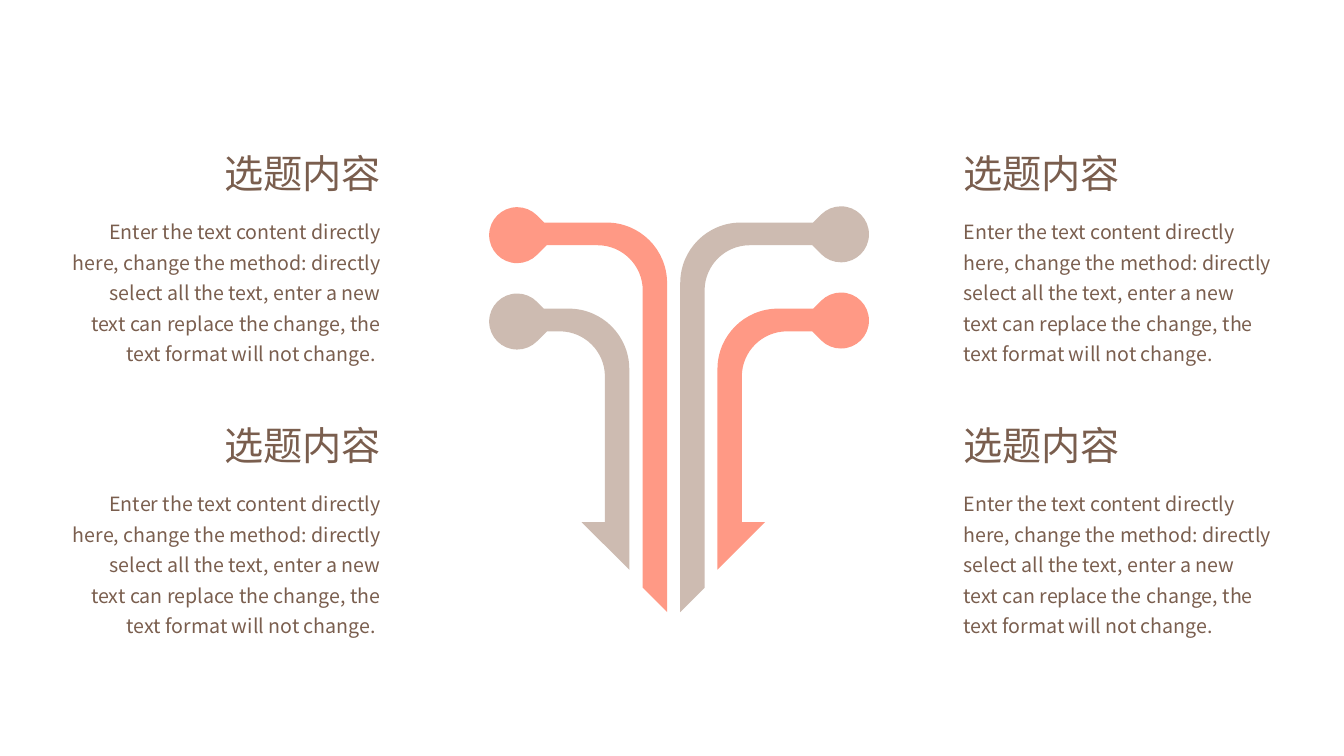
from dataclasses import dataclass
from math import cos, pi, radians, sin, tan

from lxml.etree import SubElement
from pptx import Presentation
from pptx.dml.color import RGBColor as Rgb
from pptx.enum.text import MSO_AUTO_SIZE as Fit, PP_ALIGN as Align
from pptx.oxml.ns import qn
from pptx.util import Pt

Point = tuple[float, float]
Step = list[Point]  # one point is a line, three points are a curve


@dataclass(frozen=True)
class Theme:
    font: str = "Noto Sans CJK SC"
    ink: str = "7A5E4E"
    sand: str = "CDBBB1"
    coral: str = "FF9985"
    head: int = 28
    body: int = 14


@dataclass(frozen=True)
class Pipe:
    """A round knob, an arm that bends down, and a pointed stem."""
    side: int     # 1 bends to the right, -1 to the left
    knob: Point   # centre of the knob
    edge: float   # x of the stem's outer edge
    top: float    # y of the arm's upper edge
    end: float    # y where the point begins
    barb: float   # how far the point sticks out


@dataclass(frozen=True)
class Column:
    left: float
    align: Align
    tail: str


THEME = Theme()

# Sizes shared by all pipes
KNOB, BEND, INNER = 20, 43.2, 32.3
ARM, STEM, BARB = 16.2, 17.4, 16.6
LONG, SHORT = 419.8, 373

PIPES = {
    THEME.sand: [
        Pipe(1, (369.4, 229.7), 449.5, 220.5, SHORT, BARB),
        Pipe(-1, (600.7, 167.4), 485.9, 159, LONG, 0),
    ],
    THEME.coral: [
        Pipe(1, (369.4, 168), 476.5, 159, LONG, 0),
        Pipe(-1, (600.7, 229), 512.5, 220.5, SHORT, BARB),
    ],
}

# Text grid
COLUMNS = [Column(681.2, Align.LEFT, ""), Column(44.3, Align.RIGHT, " ")]
ROWS = [103.2, 297.6]
WIDTH, DROP = 234.7, 45.4
TITLE = "选题内容"
BODY = ("Enter the text content directly here, change the method: directly "
        "select all the text, enter a new text can replace the change, "
        "the text format will not change.")


def spot(mid: Point, size: float, turn: float, side: int) -> Point:
    """Point on a circle, mirrored when side is -1."""
    return (mid[0] + side * size * cos(radians(turn)),
            mid[1] + size * sin(radians(turn)))


def arc(mid: Point, size: float, start: int, stop: int, side: int) -> Step:
    """Curve along an arc of at most 90 degrees."""
    pull = 4 / 3 * tan(radians(stop - start) / 4)
    (ax, ay), (bx, by) = (spot(mid, size, t, side) for t in (start, stop))
    (ux, uy), (vx, vy) = (spot((0, 0), size * pull, t + 90, side)
                          for t in (start, stop))
    return [(ax + ux, ay + uy), (bx - vx, by - vy), (bx, by)]


def outline(pipe: Pipe) -> list[Step]:
    side, (x, y), edge, top = pipe.side, pipe.knob, pipe.edge, pipe.top
    low = top + ARM
    neck = 2 * KNOB * cos(pi / 4)
    wall = edge - side * STEM
    turns = [45, 90, 180, 270, 315]
    return [
        [spot(pipe.knob, KNOB, turns[0], side)],
        *(arc(pipe.knob, KNOB, a, b, side) for a, b in zip(turns, turns[1:])),
        [(x + side * (neck - y + top), top)],
        [(edge - side * BEND, top)],
        arc((edge - side * BEND, top + BEND), BEND, 270, 360, side),
        [(edge, pipe.end + STEM + pipe.barb)],
        *([[(wall - side * pipe.barb, pipe.end)]] if pipe.barb else []),
        [(wall, pipe.end)],
        [(wall, low + INNER)],
        arc((wall - side * INNER, low + INNER), INNER, 360, 270, side),
        [(x + side * (neck - low + y), low)],
    ]


def bend(shape, steps: list[Step]) -> None:
    """Turn each run of three lines that stands for a curve into one."""
    lines = iter(list(shape._element.iter(qn("a:lnTo"))))
    for step in steps:
        parts = [next(lines) for _ in step]
        if len(parts) == 3:
            owner = parts[0].getparent()
            curve = SubElement(owner, qn("a:cubicBezTo"))
            parts[0].addprevious(curve)
            for part in parts:
                curve.append(part[0])
                owner.remove(part)


def draw(shapes, pipes: list[Pipe], color: str) -> None:
    """One shape that holds all pipes of a colour."""
    build, steps = None, []
    for pipe in pipes:
        (first,), *rest = outline(pipe)
        start = Pt(first[0]), Pt(first[1])
        if build is None:
            build = shapes.build_freeform(*start)
        else:
            build.move_to(*start)
        build.add_line_segments(
            [(Pt(x), Pt(y)) for step in rest for x, y in step], close=True)
        steps += rest
    shape = build.convert_to_shape()
    bend(shape, steps)
    shape.shadow.inherit = False
    shape.fill.solid()
    shape.fill.fore_color.rgb = Rgb.from_string(color)
    shape.line.fill.background()


def write(shapes, text: str, left: float, top: float, high: float, *,
          size: int, align: Align, space: float | None = None) -> None:
    box = shapes.add_textbox(Pt(left), Pt(top), Pt(WIDTH), Pt(high))
    frame = box.text_frame
    frame.word_wrap = True
    frame.auto_size = Fit.SHAPE_TO_FIT_TEXT
    para = frame.paragraphs[0]
    para.alignment = align
    para.line_spacing = space
    run = para.add_run()
    run.text = text
    run.font.size = Pt(size)
    run.font.name = THEME.font
    run.font.color.rgb = Rgb.from_string(THEME.ink)
    # Chinese text takes the East Asian font
    SubElement(run._r.get_or_add_rPr(), qn("a:ea"), typeface=THEME.font)


def main() -> None:
    deck = Presentation()
    deck.slide_width, deck.slide_height = Pt(960), Pt(540)
    slide = deck.slides.add_slide(deck.slide_layouts[6])

    # Arrows in the middle
    group = slide.shapes.add_group_shape()
    for color, pipes in PIPES.items():
        draw(group.shapes, pipes, color)

    # Topics on both sides
    for col in COLUMNS:
        for top in ROWS:
            topic = slide.shapes.add_group_shape().shapes
            write(topic, TITLE, col.left, top, 41,
                  size=THEME.head, align=col.align)
            write(topic, BODY + col.tail, col.left, top + DROP, 93.6,
                  size=THEME.body, align=col.align, space=1.3)

    deck.save("out.pptx")


if __name__ == "__main__":
    main()
